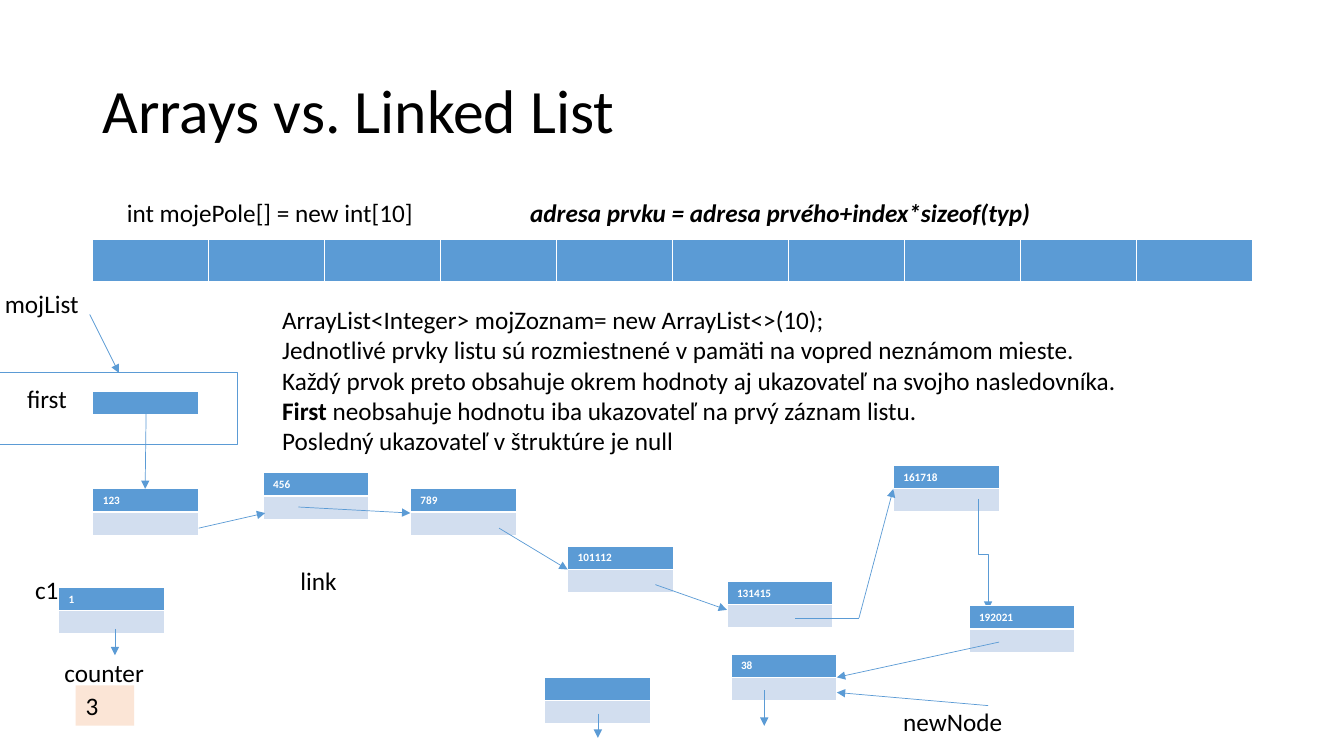
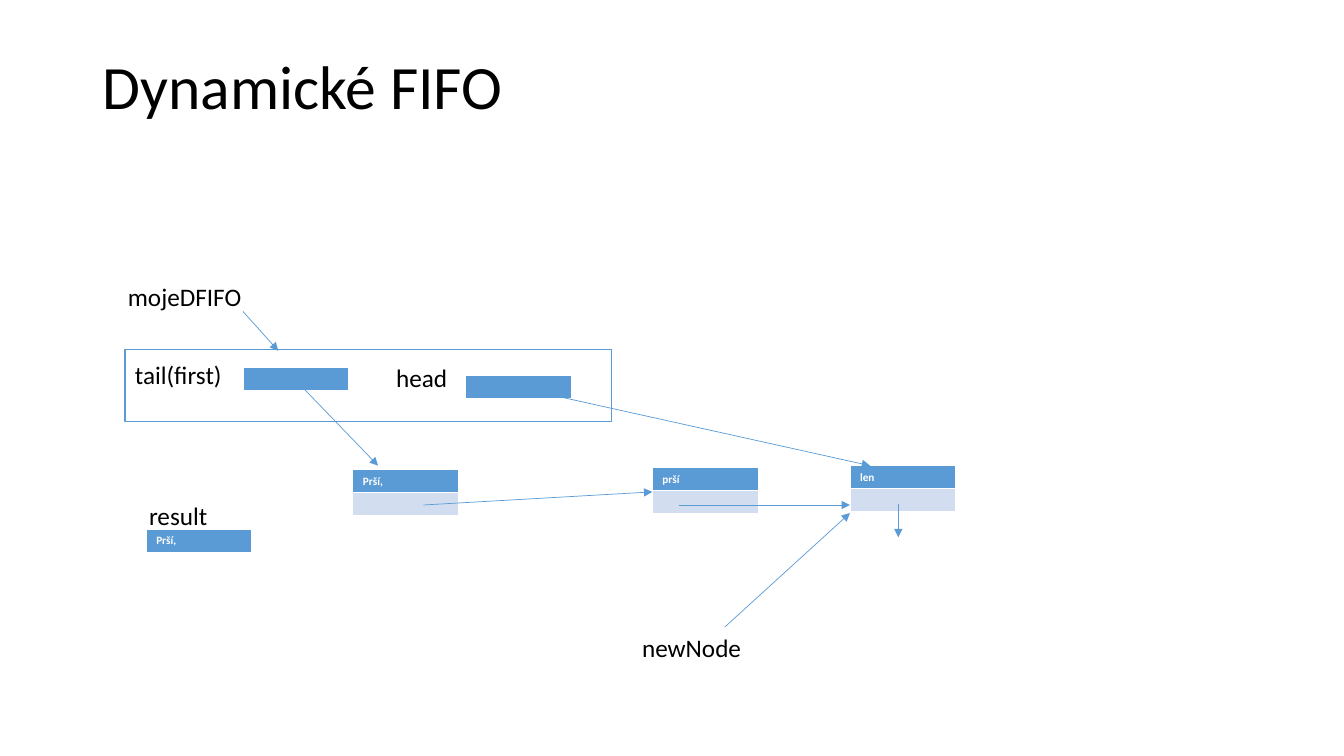
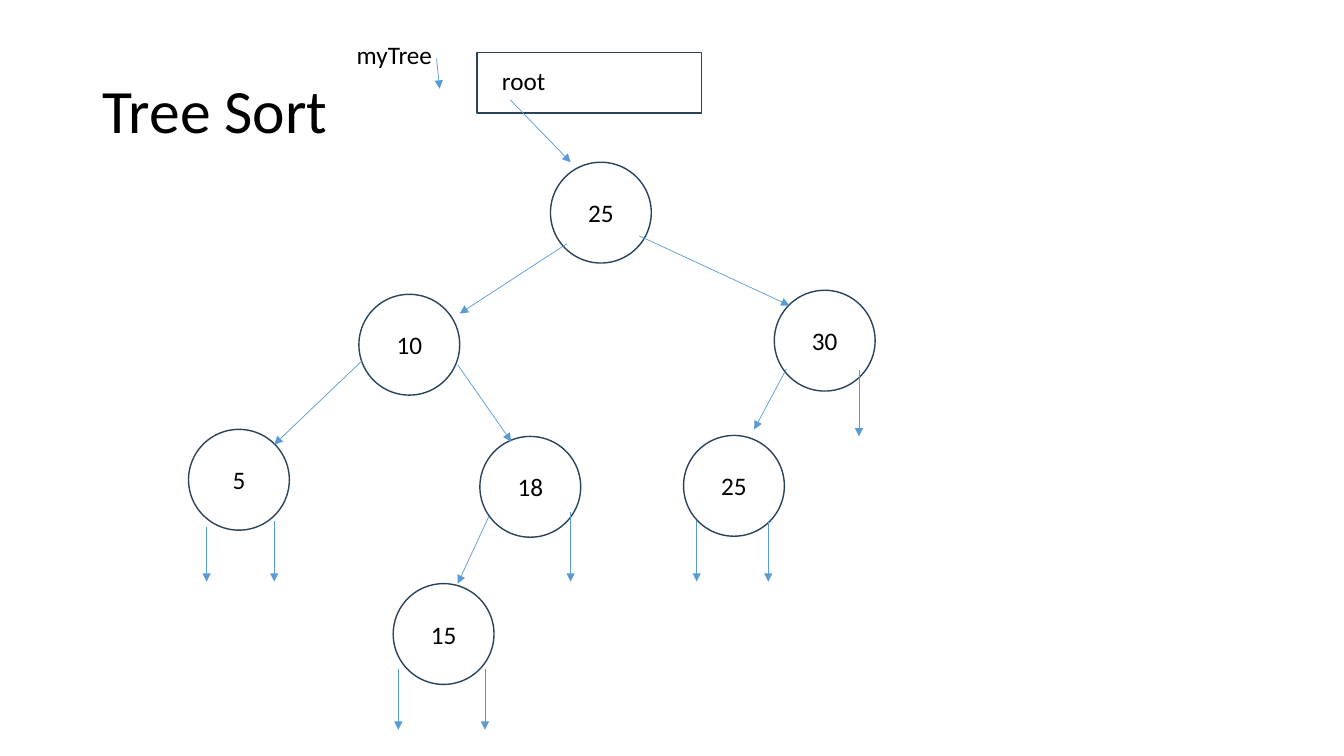
from lxml import etree
from pptx import Presentation
from pptx.dml.color import RGBColor
from pptx.enum.shapes import MSO_CONNECTOR, MSO_SHAPE
from pptx.enum.text import MSO_ANCHOR, PP_ALIGN
from pptx.oxml.ns import qn
from pptx.util import Inches, Pt

RECT, OVAL = MSO_SHAPE.RECTANGLE, MSO_SHAPE.OVAL
LINE, BENT = MSO_CONNECTOR.STRAIGHT, MSO_CONNECTOR.ELBOW
MIDDLE, CENTER, LEFT = MSO_ANCHOR.MIDDLE, PP_ALIGN.CENTER, PP_ALIGN.LEFT

# One grid column and one grid row are each an inch.
COLS, ROWS = 13.33, 7.5
FONT = "Calibri"
COLORS = {"ink": "000000", "blue": "5B9BD5", "pale": "D2DEEF",
          "navy": "28445D", "peach": "FBE5D6", "white": "FFFFFF"}
NODE_W, ROW_H = 1.05, 0.23


def color(name):
    return RGBColor.from_string(COLORS[name])


def style(para, size=18, ink="ink", bold=False):
    for run in para.runs:
        font = run.font
        font.name, font.size, font.bold = FONT, Pt(size), bold
        font.color.rgb = color(ink)


class Area:
    """A region of a slide; all places in it count from its corner."""

    def __init__(self, slide, left, top):
        self.shapes, self.left, self.top = slide.shapes, left, top

    def spot(self, x, y):
        return Inches(self.left + x), Inches(self.top + y)

    def frame(self, x, y, w, h):
        return *self.spot(x, y), Inches(w), Inches(h)

    def text(self, words, x, y, w, h=0.4, wrap=False, size=18):
        box = self.shapes.add_textbox(*self.frame(x, y, w, h))
        box.text_frame.word_wrap = wrap
        box.text_frame.text = words
        style(box.text_frame.paragraphs[0], size)
        return box

    def shape(self, kind, x, y, w, h, fill=None, line=None, width=1, words="", align=LEFT):
        item = self.shapes.add_shape(kind, *self.frame(x, y, w, h))
        item.shadow.inherit = False
        if fill:
            item.fill.solid()
            item.fill.fore_color.rgb = color(fill)
        else:
            item.fill.background()
        if line:
            item.line.color.rgb = color(line)
            item.line.width = Pt(width)
        else:
            item.line.fill.background()
        item.text_frame.text = words
        item.text_frame.vertical_anchor = MIDDLE
        for para in item.text_frame.paragraphs:
            para.alignment = align
            style(para)
        return item

    def table(self, x, y, w, h, fills, cols=1, words=""):
        """One row for each fill; the words go in the first cell."""
        grid = self.shapes.add_table(len(fills), cols, *self.frame(x, y, w, h)).table
        grid.horz_banding = False
        grid.cell(0, 0).text = words
        for row, fill in zip(grid.rows, fills):
            for cell in row.cells:
                cell.fill.solid()
                cell.fill.fore_color.rgb = color(fill)
                cell.margin_top = cell.margin_bottom = Inches(0.03)
                cell.vertical_anchor = MIDDLE
                para = cell.text_frame.paragraphs[0]
                style(para, 8, "white", True)
                if not para.runs:
                    etree.SubElement(para._p, qn("a:endParaRPr"), sz="800")

    def node(self, words, x, y):
        self.table(x, y, NODE_W, 2 * ROW_H, ["blue", "pale"], words=words)

    def cell(self, x, y, words=""):
        self.table(x, y, NODE_W, ROW_H, ["blue"], words=words)

    def arrow(self, x1, y1, x2, y2, kind=LINE, head=True):
        link = self.shapes.add_connector(kind, *self.spot(x1, y1), *self.spot(x2, y2))
        link.line.color.rgb = color("blue")
        link.line.width = Pt(0.5)
        if head:
            etree.SubElement(link.line._get_or_add_ln(), qn("a:tailEnd"), type="triangle")
        etree.SubElement(link._element.spPr, qn("a:effectLst"))
        return link

    def drop(self, x1, y1, x2, y2):
        """A bent arrow that leaves and arrives vertically."""
        midx, midy = (x1 + x2) / 2, (y1 + y2) / 2
        halfw, halfh = (y2 - y1) / 2, (x2 - x1) / 2
        link = self.arrow(midx - halfw, midy - halfh, midx + halfw, midy + halfh, BENT)
        frame = link._element.spPr.find(qn("a:xfrm"))
        frame.set("rot", "16200000")
        frame.set("flipH", "1")


def title(slide, words, w, h=1.45):
    box = Area(slide, 0.92, 0.4).text(words, 0, 0, w, h, True, 44)
    box.text_frame.vertical_anchor = MIDDLE
    box.text_frame.paragraphs[0].line_spacing = 0.9


def array(slide, left, top):
    area = Area(slide, left, top)
    box = area.text("int mojePole[] = new int[10]", 0.24, 0, 9.26)
    para = box.text_frame.paragraphs[0]
    stops = etree.SubElement(para._p.get_or_add_pPr(), qn("a:tabLst"))
    etree.SubElement(stops, qn("a:tab"), pos=str(Inches(4)), algn="l")
    para.add_run().text = "\tadresa prvku = adresa prvého+index*sizeof(typ)"
    style(para)
    para.runs[1].font.bold = para.runs[1].font.italic = True
    area.table(0, 0.47, 11.5, 0.41, ["blue"], 10)


def notes(slide, left, top):
    lines = ["ArrayList<Integer> mojZoznam= new ArrayList<>(10);",
             "Jednotlivé prvky listu sú rozmiestnené v pamäti na vopred neznámom mieste.",
             "Každý prvok preto obsahuje okrem hodnoty aj ukazovateľ na svojho nasledovníka.",
             "First",
             "Posledný ukazovateľ v štruktúre je null"]
    box = Area(slide, left, top).shape(RECT, 0, 0, 8.84, 1.62, "white", words="\n".join(lines))
    para = box.text_frame.paragraphs[3]
    para.add_run().text = " neobsahuje hodnotu iba ukazovateľ na prvý záznam listu."
    style(para)
    para.runs[0].font.bold = True


def chain(slide, left, top):
    """The linked list with its pointers."""
    area = Area(slide, left, top)
    box = area.shape(RECT, 0, 0.9, 2.36, 0.71, line="blue", width=0.75)
    area.cell(0.92, 1.08)
    for item in [("456", 2.61, 1.89), ("123", 0.92, 2.05), ("789", 4.07, 2.05),
                 ("101112", 5.63, 2.62), ("131415", 7.21, 2.97), ("161718", 8.86, 1.82),
                 ("38", 7.25, 3.69), ("", 5.4, 3.92), ("1", 0.58, 3.03)]:
        area.node(*item)
    area.drop(9.7, 2.15, 9.8, 3.25)
    area.node("192021", 9.61, 3.21)
    area.arrow(7.89, 3.33, 8.52, 3.33, head=False)
    for ends in [(1.45, 1.21, 1.44, 2.05), (1.97, 2.44, 2.63, 2.29),
                 (2.96, 2.23, 4.07, 2.29), (4.95, 2.44, 5.63, 2.85),
                 (6.5, 3, 7.21, 3.25), (8.52, 3.33, 8.86, 2.05),
                 (9.91, 3.57, 8.3, 3.92), (9.8, 4.2, 8.3, 4.07),
                 (7.58, 4.05, 7.58, 4.4), (5.93, 4.28, 5.93, 4.52),
                 (1.14, 3.44, 1.14, 3.7)]:
        area.arrow(*ends)
    area.arrow(0.89, 0.32, 1.18, 0.9).end_connect(box, 0)
    for label in [("mojList", -0.05, 0.01, 0.94), ("c1", 0.25, 2.85, 0.44),
                  ("counter", 0.54, 3.67, 1), ("link", 2.88, 2.76, 0.56)]:
        area.text(*label)
    for label in [("first", 0.17, 0.95, 0.75), ("newNode", 8.86, 4.16, 1.25)]:
        area.text(*label, wrap=True)
    area.shape(RECT, 0.75, 4, 0.58, 0.4, "peach", words="3")


def queue(slide, left, top):
    area = Area(slide, left, top)
    area.text("mojeDFIFO", -0.03, 0.04, 1.34)
    area.shape(RECT, 0.04, 0.77, 4.83, 0.71, line="blue", width=0.75)
    for label in [("tail(first)", 0.04, 0.82, 1.17), ("head", 2.63, 0.85, 0.75),
                  ("newNode", 5.07, 3.52, 1.25), ("result", 0.18, 2.21, 1.25)]:
        area.text(*label, wrap=True)
    for item in [(1.21, 0.94), (3.42, 1.02), (0.25, 2.55, "Prší,")]:
        area.cell(*item)
    for item in [("Prší,", 2.3, 1.96), ("prší", 5.27, 1.94), ("len", 7.23, 1.92)]:
        area.node(*item)
    for ends in [(1.21, 0.39, 1.56, 0.78), (1.74, 1.08, 2.55, 1.92),
                 (3.96, 1.15, 7.43, 1.92), (3, 2.31, 5.27, 2.18),
                 (5.53, 2.31, 7.23, 2.31), (5.99, 3.52, 7.23, 2.39),
                 (7.71, 2.3, 7.71, 2.63)]:
        area.arrow(*ends)


def tree(slide, left, top):
    area = Area(slide, left, top)
    area.text("myTree", 1.64, 0.04, 0.96)
    area.text("root", 3.08, 0.3, 0.64)
    area.shape(RECT, 2.93, 0.22, 2.23, 0.6, line="navy")
    for words, x, y in [("25", 3.66, 1.31), ("10", 1.76, 2.62), ("30", 5.88, 2.58),
                        ("5", 0.07, 3.96), ("18", 2.96, 4.03), ("25", 4.98, 4.02),
                        ("15", 2.1, 5.49)]:
        area.shape(OVAL, x, y, 1, 1, line="navy", words=words, align=CENTER)
    for ends in [(2.53, 0.28, 2.56, 0.58), (3.26, 0.69, 3.86, 1.31),
                 (3.82, 2.12, 2.76, 2.81), (4.54, 2.04, 6.03, 2.73),
                 (1.79, 3.28, 0.92, 4.11), (2.74, 3.32, 3.27, 4.08),
                 (6, 3.36, 5.68, 3.96), (3.05, 4.82, 2.74, 5.49)]:
        area.arrow(*ends)
    # Empty links point straight down.
    for x, y, end in [(6.72, 3.37, 4.03), (0.25, 4.93, 5.47), (0.92, 4.87, 5.47),
                      (3.86, 4.78, 5.47), (5.11, 4.87, 5.47), (5.82, 4.87, 5.47),
                      (2.15, 6.34, 6.94), (3.01, 6.34, 6.94)]:
        area.arrow(x, y, x, end)


def main():
    deck = Presentation()
    deck.slide_width, deck.slide_height = Inches(COLS), Inches(ROWS)
    lists, fifo, sort = [deck.slides.add_slide(deck.slide_layouts[6]) for _ in range(3)]

    title(lists, "Arrays vs. Linked List", 11.5)
    array(lists, 0.92, 1.91)
    notes(lists, 2.7, 2.96)
    chain(lists, 0, 2.8)

    title(fifo, "Dynamické FIFO", 4.24, 0.98)
    queue(fifo, 1.2, 2.7)

    title(sort, "Tree Sort", 2.74)
    tree(sort, 1.8, 0.3)
    deck.save("out.pptx")


if __name__ == "__main__":
    main()
